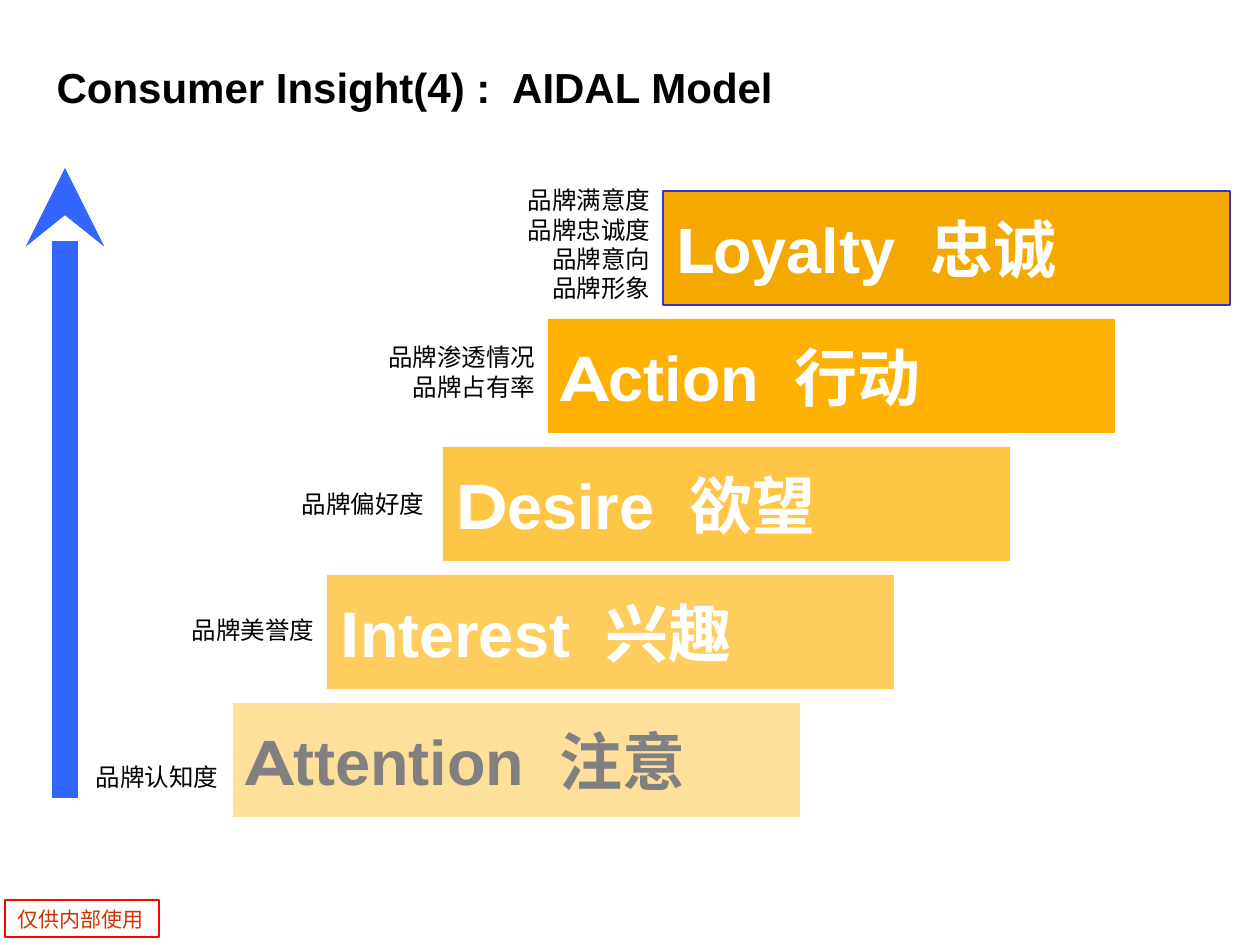
from lxml import etree
from pptx import Presentation
from pptx.dml.color import RGBColor
from pptx.enum.shapes import MSO_CONNECTOR, MSO_SHAPE
from pptx.enum.text import MSO_ANCHOR, PP_ALIGN
from pptx.oxml.ns import qn
from pptx.util import Emu, Inches, Pt

PX = 914400 / 126
LEFT, RIGHT = PP_ALIGN.LEFT, PP_ALIGN.RIGHT
TOP, MIDDLE = MSO_ANCHOR.TOP, MSO_ANCHOR.MIDDLE
RECTANGLE = MSO_SHAPE.RECTANGLE
STRAIGHT = MSO_CONNECTOR.STRAIGHT
TITLE_ONLY = 5

LATIN, DISPLAY, CHINESE = "Arial", "Montserrat", "Noto Sans CJK SC"

BLACK = RGBColor(0x00, 0x00, 0x00)
WHITE = RGBColor(0xFF, 0xFF, 0xFF)
GREY = RGBColor(0x80, 0x80, 0x80)
BLUE = RGBColor(0x33, 0x66, 0xFF)
OUTLINE_BLUE = RGBColor(0x33, 0x33, 0xCC)
RED = RGBColor(0xFF, 0x00, 0x00)
RUST = RGBColor(0xCC, 0x33, 0x00)

BAR_WIDTH, BAR_HEIGHT = 567, 114
BOTTOM_BAR_TOP, BAR_STEP = 703, 128

# Steps from bottom to top: bar left, fill, text colour, outline, heading,
# then the measures beside the bar and the box that holds them
STEPS = [
    (233, RGBColor(0xFF, 0xE0, 0x9B), GREY, None, "Attention  注意",
     ["品牌认知度"], (21, 756, 210, 94)),
    (327, RGBColor(0xFF, 0xCD, 0x5D), WHITE, None, "Interest  兴趣",
     ["品牌美誉度"], (147, 609, 180, 63)),
    (443, RGBColor(0xFF, 0xC5, 0x45), WHITE, None, "Desire  欲望",
     ["品牌偏好度"], (227, 483, 210, 63)),
    (548, RGBColor(0xFF, 0xB1, 0x03), WHITE, None, "Action  行动",
     ["品牌渗透情况", "品牌占有率"], (338, 336, 210, 94)),
    (663, RGBColor(0xF4, 0xA8, 0x00), WHITE, OUTLINE_BLUE, "Loyalty  忠诚",
     ["品牌满意度", "品牌忠诚度", "品牌意向", "品牌形象"], (464, 179, 199, 136)),
]


def px(*lengths):
    return [Emu(round(length * PX)) for length in lengths]


def write_text(shape, paragraphs, size, color, bold=False, align=LEFT, anchor=TOP):
    """Fill a shape; each paragraph is a list of (text, font name) runs."""
    frame = shape.text_frame
    frame.word_wrap = True
    frame.vertical_anchor = anchor
    for index, runs in enumerate(paragraphs):
        paragraph = frame.paragraphs[0] if index == 0 else frame.add_paragraph()
        paragraph.alignment = align
        for text, font_name in runs:
            run = paragraph.add_run()
            run.text = text
            font = run.font
            font.name, font.size, font.bold = font_name, Pt(size), bold
            font.color.rgb = color
            east_asian = etree.SubElement(font._element, qn("a:ea"))
            east_asian.set("typeface", CHINESE)


def add_box(slide, bounds, fill=None, line=None, line_width=0.75):
    shape = slide.shapes.add_shape(RECTANGLE, *px(*bounds))
    shape.shadow.inherit = False
    if fill is None:
        shape.fill.background()
    else:
        shape.fill.solid()
        shape.fill.fore_color.rgb = fill
    if line is None:
        shape.line.fill.background()
    else:
        shape.line.color.rgb = line
        shape.line.width = Pt(line_width)
    return shape


def add_title(slide, text):
    title = slide.shapes.title
    title.left, title.top, title.width, title.height = px(44, 29, 1191, 116)
    write_text(title, [[(text, LATIN)]], 24, BLACK, bold=True, anchor=MIDDLE)


def add_step(slide, level, step):
    left, fill, color, outline, heading, measures, label_bounds = step
    top = BOTTOM_BAR_TOP - level * BAR_STEP
    bar = add_box(slide, (left, top, BAR_WIDTH, BAR_HEIGHT), fill, outline)
    runs = [(heading[0], DISPLAY), (heading[1:], LATIN)]
    write_text(bar, [runs], 36, color, bold=True, anchor=MIDDLE)

    label = slide.shapes.add_textbox(*px(*label_bounds))
    lines = [[(measure, CHINESE)] for measure in measures]
    write_text(label, lines, 14, BLACK, align=RIGHT)


def add_arrow(slide, start, end):
    arrow = slide.shapes.add_connector(STRAIGHT, *px(*start, *end))
    arrow.line.color.rgb = BLUE
    arrow.line.width = Pt(15)
    head = etree.SubElement(arrow.line._get_or_add_ln(), qn("a:tailEnd"))
    head.set("type", "stealth")
    etree.SubElement(arrow._element.spPr, qn("a:effectLst"))


def main():
    presentation = Presentation()
    presentation.slide_width = Inches(10)
    presentation.slide_height = Inches(7.5)
    slide = presentation.slides.add_slide(presentation.slide_layouts[TITLE_ONLY])

    # Confidentiality mark and title
    mark = add_box(slide, (5, 900, 154, 37), line=RED, line_width=1)
    write_text(mark, [[("仅供内部使用", CHINESE)]], 12, RUST)
    add_title(slide, "Consumer Insight(4) :  AIDAL Model")

    # Staircase of the model
    for level, step in enumerate(STEPS):
        add_step(slide, level, step)

    # Upward arrow
    add_arrow(slide, (65, 798), (65, 168))

    presentation.save("out.pptx")


if __name__ == "__main__":
    main()
